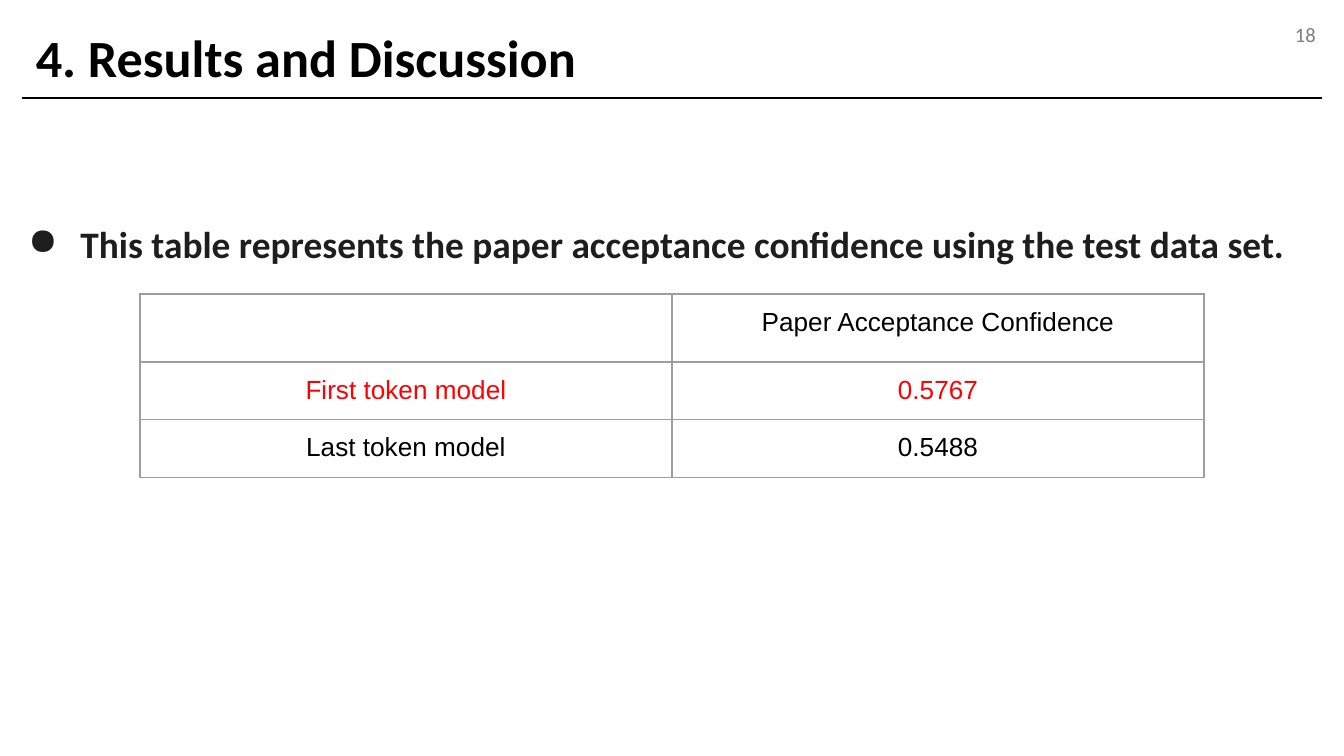
from lxml import etree
from pptx import Presentation
from pptx.dml.color import RGBColor
from pptx.enum.shapes import MSO_CONNECTOR as Connector
from pptx.enum.text import MSO_ANCHOR as Anchor, MSO_AUTO_SIZE as AutoSize, PP_ALIGN as Align
from pptx.oxml.ns import qn
from pptx.util import Pt

BLACK = RGBColor(0x00, 0x00, 0x00)
INK = RGBColor(0x1E, 0x1E, 0x1E)
GRAY = RGBColor(0x7F, 0x7F, 0x7F)
RED = RGBColor(0xFF, 0x00, 0x00)
BORDER = RGBColor(0x9E, 0x9E, 0x9E)

TITLE_FONT = {"name": "Calibri", "size": Pt(28), "bold": True}
NUMBER_FONT = {"name": "Calibri", "size": Pt(11)}
BODY_FONT = {"name": "Calibri", "size": Pt(20), "bold": True}
CELL_FONT = {"name": "Arial", "size": Pt(14), "bold": False}
FRAME = {"word_wrap": True, "auto_size": AutoSize.NONE, "vertical_anchor": Anchor.TOP,
         "margin_left": Pt(7.2), "margin_right": Pt(7.2),
         "margin_top": Pt(3.6), "margin_bottom": Pt(3.6)}
CELL = {"margin_left": Pt(7.2), "margin_right": Pt(7.2), "margin_top": Pt(7.2),
        "margin_bottom": Pt(7.2), "vertical_anchor": Anchor.TOP}

ROWS = [("", "Paper Acceptance Confidence", BLACK),
        ("First token model", "0.5767", RED),
        ("Last token model", "0.5488", BLACK)]
ROW_HEIGHTS = [36, 31, 31]


def apply(target, values):
    for name, value in values.items():
        setattr(target, name, value)


def write(frame, text, font, color, align=Align.LEFT):
    para = frame.paragraphs[0]
    para.alignment = align
    span = para.add_run()
    span.text = text
    apply(span.font, font)
    span.font.color.rgb = color
    return para


def add_text(page, box, text, font, color, align=Align.LEFT):
    frame = page.shapes.add_textbox(*map(Pt, box)).text_frame
    apply(frame, FRAME)
    return write(frame, text, font, color, align)


def add_header(page, box, title, number):
    left, top, width, height = box
    # Title
    heading = page.shapes.title
    apply(heading, {"left": Pt(left), "top": Pt(top), "width": Pt(546), "height": Pt(41)})
    apply(heading.text_frame, FRAME)
    write(heading.text_frame, title, TITLE_FONT, BLACK)
    # Page number
    add_text(page, (left + width - 35.5, top - 2, 39.5, 21), number,
             NUMBER_FONT, GRAY, Align.RIGHT)
    # Rule below the title
    bottom = Pt(top + height)
    rule = page.shapes.add_connector(Connector.STRAIGHT, Pt(left), bottom,
                                     Pt(left + width), bottom)
    rule.line.color.rgb = BLACK
    rule.line.width = Pt(0.75)
    etree.SubElement(rule.element.spPr, qn("a:effectLst"))


def add_bullet(page, box, text):
    para = add_text(page, box, text, BODY_FONT, INK)
    para.line_spacing = 2.0
    props = para._p.get_or_add_pPr()
    props.set("marL", str(Pt(36)))
    props.set("indent", str(Pt(-28)))
    color = etree.SubElement(props, qn("a:buClr"))
    etree.SubElement(color, qn("a:srgbClr"), val=str(INK))
    etree.SubElement(props, qn("a:buChar"), char="●")


def add_borders(cell):
    props = cell._tc.get_or_add_tcPr()
    for position, side in enumerate(("a:lnL", "a:lnR", "a:lnT", "a:lnB")):
        line = etree.Element(qn(side), w=str(Pt(0.75)))
        fill = etree.SubElement(line, qn("a:solidFill"))
        etree.SubElement(fill, qn("a:srgbClr"), val=str(BORDER))
        props.insert(position, line)


def add_results(page, box):
    table = page.shapes.add_table(len(ROWS), 2, *map(Pt, box)).table
    apply(table, {"first_row": False, "horz_banding": False})
    for column in table.columns:
        column.width = Pt(box[2] / 2)
    for row, height, (*texts, color) in zip(table.rows, ROW_HEIGHTS, ROWS):
        row.height = Pt(height)
        for cell, text in zip(row.cells, texts):
            apply(cell, CELL)
            cell.fill.background()
            add_borders(cell)
            if text:
                write(cell.text_frame, text, CELL_FONT, color, Align.CENTER)


def main():
    deck = Presentation()
    deck.slide_width, deck.slide_height = Pt(720), Pt(405)
    page = deck.slides.add_slide(deck.slide_layouts.get_by_name("Title Only"))
    add_header(page, (12, 10, 696, 42.5), "4. Results and Discussion", "18")
    add_bullet(page, (0, 91, 706, 250.5),
               "This table represents the paper acceptance confidence using the test data set.")
    add_results(page, (75, 157.5, 570, sum(ROW_HEIGHTS)))
    deck.save("out.pptx")


if __name__ == "__main__":
    main()
